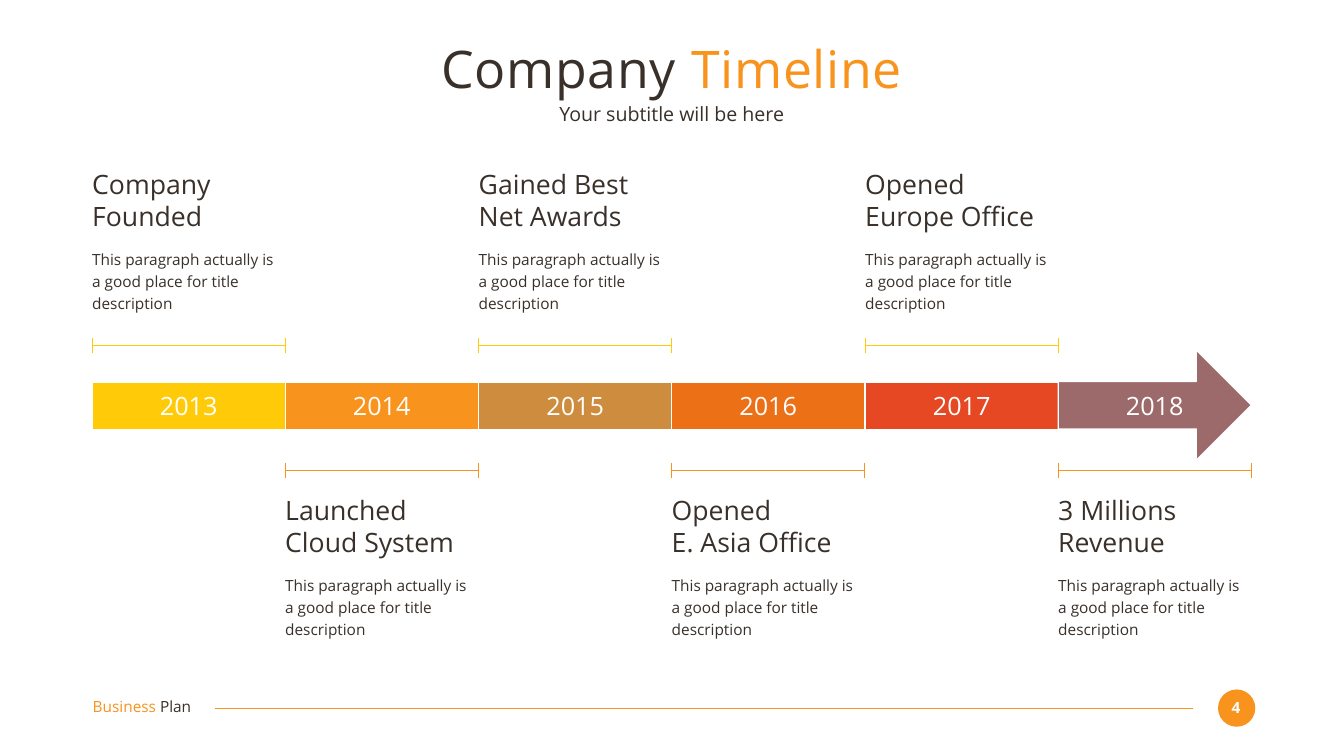
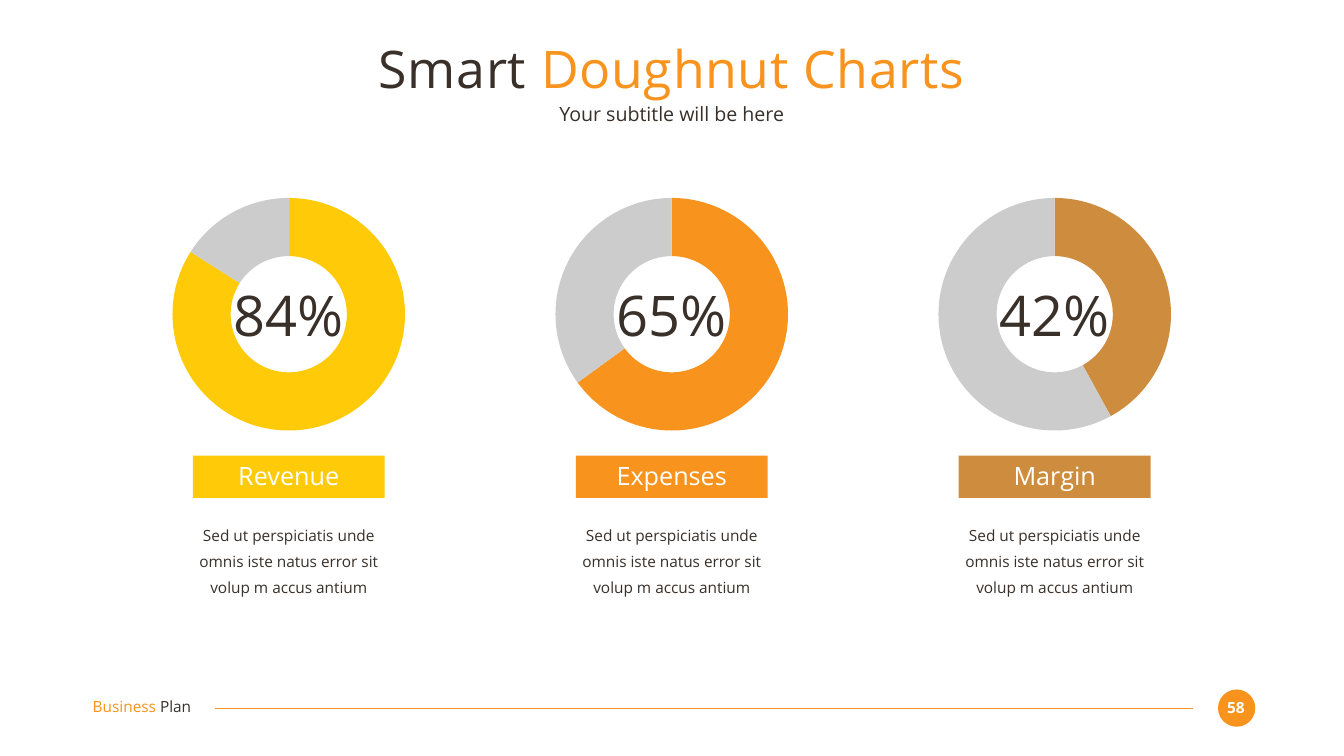
from lxml import etree
from pptx import Presentation
from pptx.chart.data import CategoryChartData
from pptx.dml.color import RGBColor
from pptx.enum.chart import XL_CHART_TYPE
from pptx.enum.shapes import MSO_CONNECTOR, MSO_SHAPE
from pptx.enum.text import PP_ALIGN
from pptx.oxml.ns import qn
from pptx.util import Pt

PX = 9144  # EMU per px, 100 px to the inch
WIDE, HIGH = 2667, 1500
FONT = "Open Sans"
HUES = {
    "ink": "39302A", "white": "FFFFFF", "grey": "CCCCCC",
    "yellow": "FFCA08", "orange": "F8931D", "tan": "CE8D3E",
    "rust": "EC7016", "red": "E64823", "mauve": "9C6A6A",
}

# Content
SUB = "Your subtitle will be here"
FOOT = [("Business ", "orange"), ("Plan", "ink")]
NOTE = "This paragraph actually is a good place for title description"
BLURB = "Sed ut perspiciatis unde omnis iste natus error sit volup m accus antium"
YEARS = [
    ("2013", "yellow", ["Company Founded"]),
    ("2014", "orange", ["Launched Cloud System"]),
    ("2015", "tan", ["Gained Best", "Net Awards"]),
    ("2016", "rust", ["Opened", "E. Asia Office"]),
    ("2017", "red", ["Opened", "Europe Office"]),
    ("2018", "mauve", ["3 Millions", "Revenue"]),
]
RINGS = [("Revenue", 84, "yellow"), ("Expenses", 65, "orange"), ("Margin", 42, "tan")]

# Timeline and ring grids
LEFT, STEP, CELL = 183, 383.4, 383
MID, GAP = 1333, 760


def hue(name):
    return RGBColor.from_string(HUES[name])


def emu(*spots):
    return [round(s * PX) for s in spots]


def text(slide, box, paras, size, align=PP_ALIGN.CENTER, bold=False,
         lead=None, after=None, track=None):
    """Each paragraph is a list of (words, colour) runs."""
    frame = slide.shapes.add_textbox(*emu(*box)).text_frame
    frame.word_wrap = True
    frame.margin_left = frame.margin_right = 0
    frame.margin_top = frame.margin_bottom = 0
    for i, runs in enumerate(paras):
        para = frame.add_paragraph() if i else frame.paragraphs[0]
        para.alignment = align
        if lead:
            para.line_spacing = lead
        if after:
            para.space_after = Pt(after)
        for words, shade in runs:
            run = para.add_run()
            run.text = words
            font = run.font
            font.name, font.size, font.bold = FONT, Pt(size), bold
            font.color.rgb = hue(shade)
            if track:
                font._element.set("spc", str(track))


def shape(slide, kind, box, fill, edge=None):
    item = slide.shapes.add_shape(kind, *emu(*box))
    item.shadow.inherit = False
    item.fill.solid()
    item.fill.fore_color.rgb = hue(fill)
    if edge:
        item.line.color.rgb = hue(edge)
        item.line.width = Pt(1.5)
    else:
        item.line.fill.background()
    return item


def line(shapes, ends, shade):
    item = shapes.add_connector(MSO_CONNECTOR.STRAIGHT, *emu(*ends))
    item.line.color.rgb = hue(shade)
    item.line.width = Pt(1.5)
    etree.SubElement(item._element.spPr, qn("a:effectLst"))


def base(deck, first, last, page):
    """A slide with the shared title, subtitle and footer."""
    slide = deck.slides.add_slide(deck.slide_layouts[6])
    shape(slide, MSO_SHAPE.OVAL, (2417, 1368, 74, 74), "orange")
    text(slide, (2423, 1385, 59, 37), [[(page, "white")]], 22, bold=True)
    line(slide.shapes, (2367, 1405, 427, 1405), "orange")
    text(slide, (184, 1384, 259, 37), [FOOT], 22, PP_ALIGN.LEFT)
    text(slide, (183, 73, 2300, 127), [[(first, "ink"), (last, "orange")]], 74, track=100)
    text(slide, (183, 203, 2300, 49), [[(SUB, "ink")]], 28)
    return slide


def bracket(slide, x, y, shade):
    group = slide.shapes.add_group_shape().shapes
    line(group, (x, y, x + CELL, y), shade)
    for end in (x, x + CELL):
        line(group, (end, y - 15, end, y + 14), shade)


def timeline(deck):
    slide = base(deck, "Company ", "Timeline", "4")
    for i, (year, shade, head) in enumerate(YEARS):
        x = round(LEFT + i * STEP)
        # Bar, ending in an arrow
        if i < len(YEARS) - 1:
            shape(slide, MSO_SHAPE.RECTANGLE, (x, 758, CELL, 94), shade, "white")
        else:
            arrow = shape(slide, MSO_SHAPE.RIGHT_ARROW, (x, 695, CELL, 218), shade, "white")
            arrow.adjustments[0] = 0.43
        text(slide, (x + 102, 774, 179, 61), [[(year, "white")]], 36)
        # Event, above and below by turns
        rule, top, tint = (934, 980, "orange") if i % 2 else (686, 334, "yellow")
        bracket(slide, x, rule, tint)
        text(slide, (x, top, CELL, 128), [[(row, "ink")] for row in head], 38, PP_ALIGN.LEFT)
        text(slide, (x, top + 155, CELL, 133), [[(NOTE, "ink")]], 22, PP_ALIGN.LEFT, lead=1.2)


def ring(slide, box, share, shade):
    data = CategoryChartData()
    data.categories = ["1", "2"]
    data.add_series("Series 1", [share, 100 - share])
    chart = slide.shapes.add_chart(XL_CHART_TYPE.DOUGHNUT, *emu(*box), data).chart
    chart.has_legend = chart.has_title = False
    chart.font.name, chart.font.size = "Calibri", Pt(10)
    plot = chart.plots[0]
    plot.vary_by_categories = True
    plot._element.find(qn("c:holeSize")).set("val", "88")
    for i, tint in enumerate((shade, "grey")):
        look = plot.series[0].points[i].format
        look.fill.solid()
        look.fill.fore_color.rgb = hue(tint)
        look.line.fill.background()


def rings(deck):
    slide = base(deck, "Smart ", "Doughnut Charts", "58")
    for i, (name, share, shade) in enumerate(RINGS):
        mid = MID + (i - 1) * GAP

        def spot(top, wide, high):
            return mid - wide / 2, top, wide, high

        ring(slide, spot(362, 489, 523), share, shade)
        shape(slide, MSO_SHAPE.RECTANGLE, spot(904, 381, 84), shade)
        text(slide, spot(913, 310, 61), [[(name, "white")]], 36)
        text(slide, spot(1029, 431, 156), [[(BLURB, "ink")]], 22, lead=1.4, after=36)
        text(slide, spot(556, 238, 135), [[(f"{share}%", "ink")]], 80)


def main():
    deck = Presentation()
    deck.slide_width, deck.slide_height = emu(WIDE, HIGH)
    timeline(deck)
    rings(deck)
    deck.save("out.pptx")


if __name__ == "__main__":
    main()
